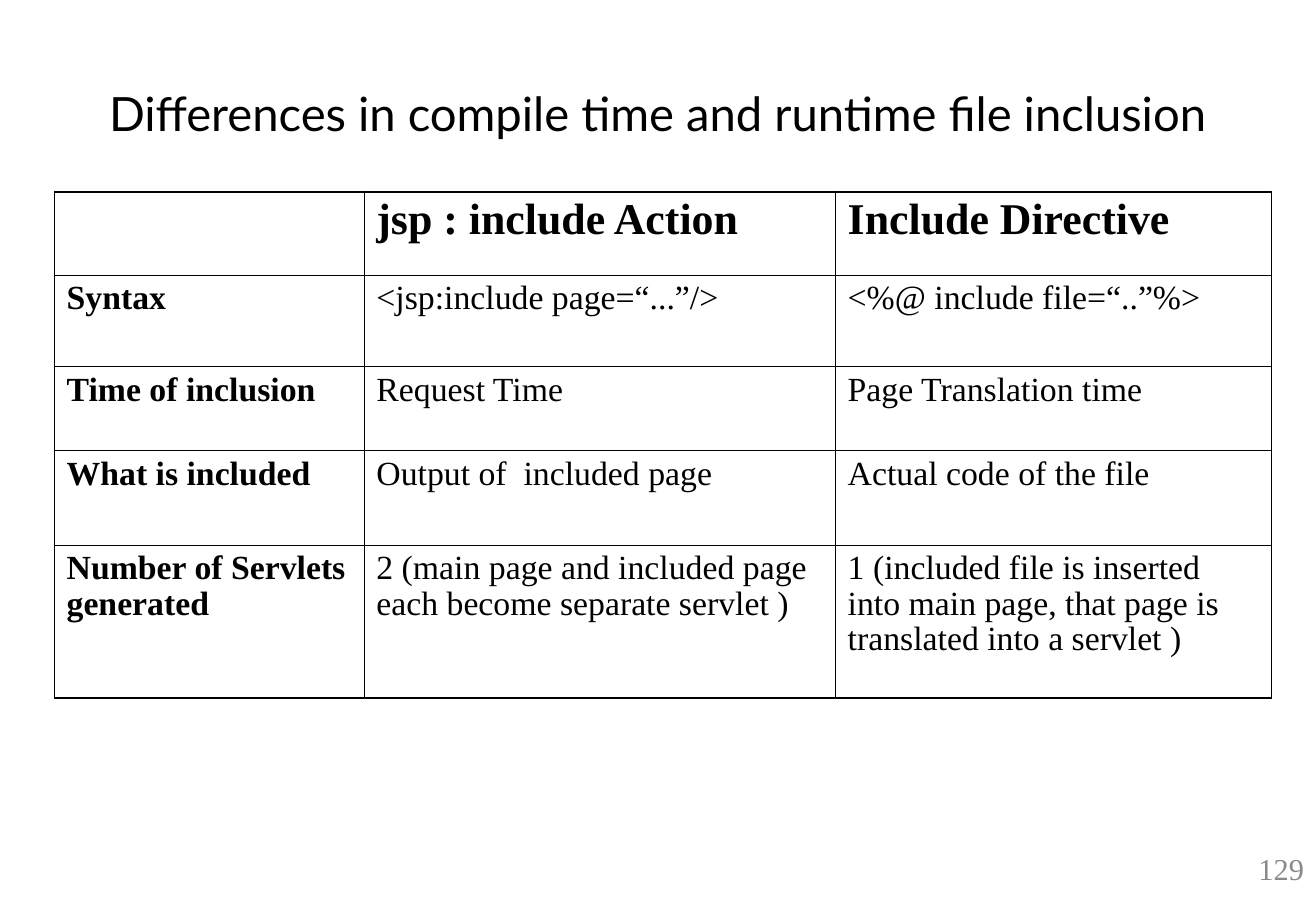
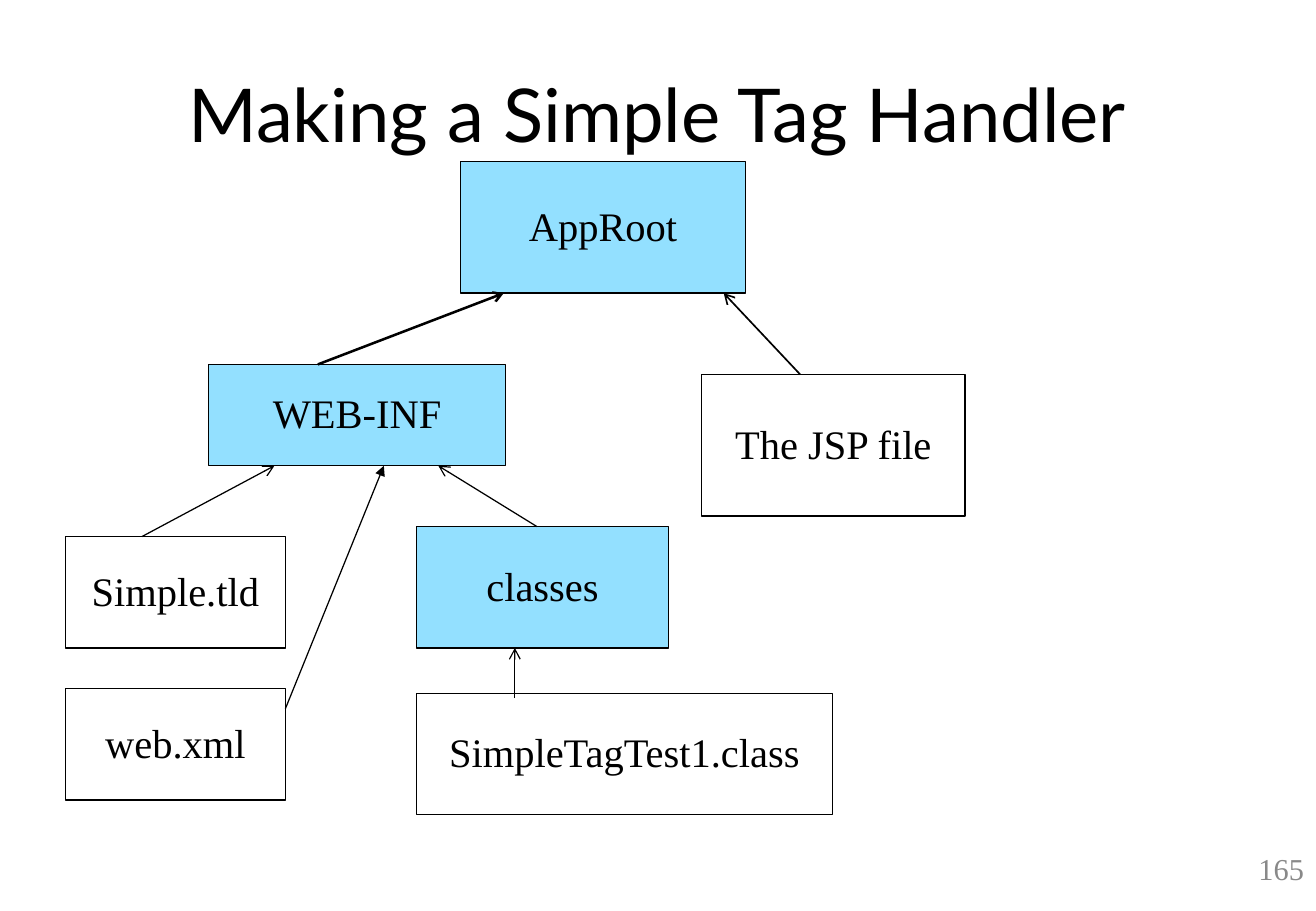
from dataclasses import dataclass

from lxml.etree import SubElement
from pptx import Presentation
from pptx.dml.color import RGBColor
from pptx.enum.shapes import MSO_CONNECTOR, MSO_SHAPE
from pptx.enum.text import MSO_ANCHOR, MSO_AUTO_SIZE, PP_ALIGN
from pptx.oxml.ns import qn
from pptx.slide import Slide
from pptx.table import _Cell as Cell
from pptx.text.text import _Paragraph as Paragraph
from pptx.util import Cm, Pt

COLORS = {
    "ink": "000000",
    "paper": "FFFFFF",
    "folder": "93E0FF",
    "number": "898989",
}
TITLE_FONT = "Lato"
BODY_FONT = "Times New Roman"
LINE_SPACING = 0.95
THIN, THICK = 0.45, 1.08  # table rule widths in points


@dataclass(frozen=True)
class Node:
    """A file or folder box; lengths in centimetres."""
    text: str
    left: float
    top: float
    width: float
    height: float
    fill: str = "paper"


@dataclass(frozen=True)
class Arrow:
    """A line from a child box up to its parent; lengths in centimetres."""
    start: tuple[float, float]
    end: tuple[float, float]
    weight: float = 0.75
    tip: str = "arrow"


TABLE_ROWS = [
    ("", "jsp : include Action", "Include Directive"),
    ("Syntax", "<jsp:include page=“...”/>", "<%@ include file=“..”%>"),
    ("Time of inclusion", "Request Time", "Page Translation time"),
    ("What is included", "Output of  included page", "Actual code of the file"),
    ("Number of Servlets generated",
     "2 (main page and included page each become separate servlet )",
     "1 (included file is inserted into main page, that page is translated into a servlet )"),
]
COLUMN_WIDTHS = [6.48, 9.86, 9.12]
ROW_HEIGHTS = [1.75, 1.91, 1.75, 1.98, 3.2]

NODES = [
    Node("AppRoot", 9.63, 3.38, 5.97, 2.75, "folder"),
    Node("WEB-INF", 4.37, 7.62, 6.2, 2.12, "folder"),
    Node("The JSP file", 14.68, 7.83, 5.51, 2.96),
    Node("classes", 8.71, 11.01, 5.28, 2.54, "folder"),
    Node("Simple.tld", 1.37, 11.22, 4.6, 2.33),
    Node("web.xml", 1.37, 14.4, 4.6, 2.33),
    Node("SimpleTagTest1.class", 8.71, 14.5, 8.71, 2.54),
]
ARROWS = [
    Arrow((6.65, 7.62), (10.54, 6.13), weight=1.5),
    Arrow((16.74, 7.83), (15.14, 6.13), weight=1),
    Arrow((11.23, 11.01), (9.17, 9.74)),
    Arrow((2.97, 11.22), (5.74, 9.74)),
    Arrow((5.97, 14.82), (8.03, 9.74), tip="triangle"),
    Arrow((10.77, 14.6), (10.77, 13.55)),
]


def color(name: str) -> RGBColor:
    return RGBColor.from_string(COLORS[name])


def style_paragraph(paragraph: Paragraph, size: float, font: str = BODY_FONT,
                    ink: str = "ink", bold: bool = False,
                    align: PP_ALIGN = PP_ALIGN.LEFT,
                    spacing: float = LINE_SPACING) -> None:
    paragraph.alignment = align
    paragraph.line_spacing = spacing
    for run in paragraph.runs:
        run.font.name = font
        run.font.size = Pt(size)
        run.font.bold = bold
        run.font.color.rgb = color(ink)


# Shared slide frame: title and page number
def add_slide(presentation: Presentation, title: str, title_size: float,
              number: int) -> Slide:
    slide = presentation.slides.add_slide(presentation.slide_layouts[5])

    shape = slide.shapes.title
    shape.left, shape.top = Cm(1.37), Cm(0.76)
    shape.width, shape.height = Cm(24.77), Cm(3.18)
    frame = shape.text_frame
    frame.text = title
    frame.auto_size = MSO_AUTO_SIZE.NONE
    frame.vertical_anchor = MSO_ANCHOR.MIDDLE
    style_paragraph(frame.paragraphs[0], title_size, TITLE_FONT,
                    align=PP_ALIGN.CENTER, spacing=1.0)

    box = slide.shapes.add_textbox(Cm(21.79), Cm(17.78), Cm(5.74), Cm(0.84))
    frame = box.text_frame
    frame.text = str(number)
    frame.word_wrap = True
    frame.vertical_anchor = MSO_ANCHOR.MIDDLE
    style_paragraph(frame.paragraphs[0], 18, ink="number", align=PP_ALIGN.RIGHT)
    return slide


# Table with a heavier outer frame
def set_borders(cell: Cell, widths: dict[str, float]) -> None:
    properties = cell._tc.get_or_add_tcPr()
    for side, width in widths.items():
        line = SubElement(properties, qn(f"a:ln{side}"), w=str(Pt(width)))
        fill = SubElement(line, qn("a:solidFill"))
        SubElement(fill, qn("a:srgbClr"), val=COLORS["ink"])


def add_comparison_table(slide: Slide) -> None:
    last_row, last_column = len(ROW_HEIGHTS) - 1, len(COLUMN_WIDTHS) - 1
    table = slide.shapes.add_table(
        len(ROW_HEIGHTS), len(COLUMN_WIDTHS), Cm(1.14), Cm(4.01),
        Cm(sum(COLUMN_WIDTHS)), Cm(sum(ROW_HEIGHTS))).table
    table.first_row = table.horz_banding = False
    for column, width in zip(table.columns, COLUMN_WIDTHS):
        column.width = Cm(width)
    for r, (row, height) in enumerate(zip(table.rows, ROW_HEIGHTS)):
        row.height = Cm(height)
        for c, cell in enumerate(row.cells):
            cell.text_frame.text = TABLE_ROWS[r][c]
            style_paragraph(cell.text_frame.paragraphs[0], 26 if r == 0 else 20,
                            bold=r == 0 or c == 0)
            outer = {"L": c == 0, "R": c == last_column,
                     "T": r == 0, "B": r == last_row}
            set_borders(cell, {side: THICK if edge else THIN
                               for side, edge in outer.items()})
            cell.fill.background()


# Tree diagram parts
def add_node(slide: Slide, node: Node) -> None:
    shape = slide.shapes.add_shape(MSO_SHAPE.RECTANGLE, Cm(node.left), Cm(node.top),
                                   Cm(node.width), Cm(node.height))
    shape.shadow.inherit = False
    shape.fill.solid()
    shape.fill.fore_color.rgb = color(node.fill)
    shape.line.color.rgb = color("ink")
    shape.line.width = Pt(0.75)
    frame = shape.text_frame
    frame.text = node.text
    frame.word_wrap = False
    frame.vertical_anchor = MSO_ANCHOR.MIDDLE
    style_paragraph(frame.paragraphs[0], 24, align=PP_ALIGN.CENTER)


def add_arrow(slide: Slide, arrow: Arrow) -> None:
    points = [Cm(value) for value in arrow.start + arrow.end]
    connector = slide.shapes.add_connector(MSO_CONNECTOR.STRAIGHT, *points)
    connector.line.color.rgb = color("ink")
    connector.line.width = Pt(arrow.weight)
    SubElement(connector.line._get_or_add_ln(), qn("a:tailEnd"), type=arrow.tip)
    SubElement(connector._element.spPr, qn("a:effectLst"))


def main() -> None:
    presentation = Presentation()
    presentation.slide_width, presentation.slide_height = Cm(27.53), Cm(19.05)

    # File inclusion comparison
    slide = add_slide(presentation,
                      "Differences in compile time and runtime file inclusion", 28, 129)
    add_comparison_table(slide)

    # Tag handler directory tree
    slide = add_slide(presentation, "Making a Simple Tag Handler", 44, 165)
    for node in NODES:
        add_node(slide, node)
    for arrow in ARROWS:
        add_arrow(slide, arrow)

    presentation.save("out.pptx")


if __name__ == "__main__":
    main()
